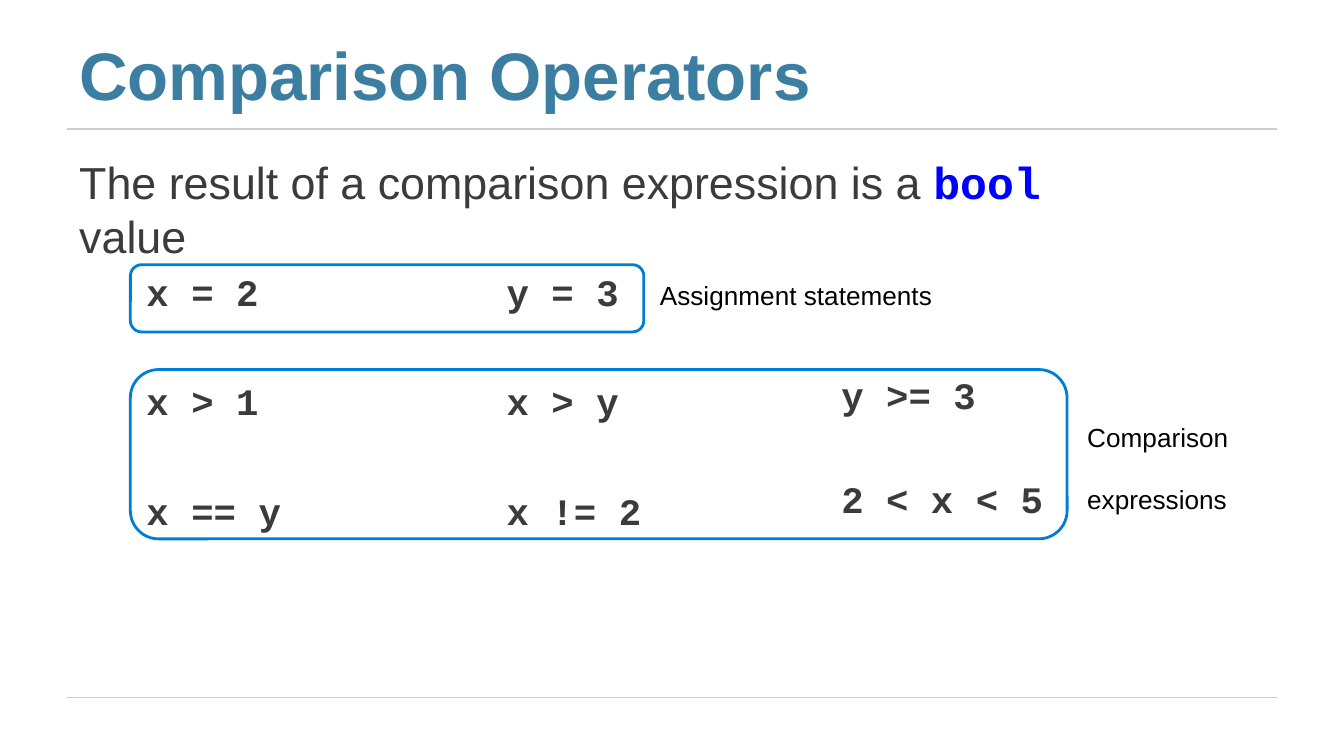
from dataclasses import dataclass

from lxml import etree
from pptx import Presentation
from pptx.dml.color import RGBColor
from pptx.enum import shapes, text
from pptx.oxml import ns
from pptx.util import Emu, Inches, Pt

CELL = Inches(0.1)


@dataclass(frozen=True)
class Theme:
    sans: str = "Arial"
    mono: str = "Courier New"
    heading: str = "3B7EA1"
    body: str = "3B3B3B"
    keyword: str = "0000FF"
    label: str = "000000"
    rule: str = "CCCCCC"
    frame: str = "007DD6"
    heading_size: float = 36
    body_size: float = 24
    code_size: float = 20
    label_size: float = 14


THEME = Theme()
STYLES = {
    "heading": dict(name=THEME.sans, size=THEME.heading_size, color=THEME.heading, bold=True),
    "body": dict(name=THEME.sans, size=THEME.body_size, color=THEME.body, bold=False),
    "keyword": dict(name=THEME.mono, size=THEME.body_size, color=THEME.keyword, bold=True),
    "code": dict(name=THEME.mono, size=THEME.code_size, color=THEME.body, bold=True),
    "label": dict(name=THEME.sans, size=THEME.label_size, color=THEME.label, bold=False),
}


def grid(*cells):
    return [Emu(round(cell * CELL)) for cell in cells]


def style_span(span, style):
    for key, value in STYLES[style].items():
        if key == "color":
            span.font.color.rgb = RGBColor.from_string(value)
        else:
            setattr(span.font, key, Pt(value) if key == "size" else value)


def add_text(page, box, lines, gap=0, leading=None, tab=None):
    frame = page.shapes.add_textbox(*grid(*box)).text_frame
    settings = dict(word_wrap=True, vertical_anchor=text.MSO_ANCHOR.TOP,
                    margin_left=Inches(0.01), margin_right=0,
                    margin_top=Inches(0.02), margin_bottom=0)
    for key, value in settings.items():
        setattr(frame, key, value)
    for index, spans in enumerate(lines):
        para = frame.add_paragraph() if index else frame.paragraphs[0]
        para.space_before = Pt(gap if index else 0)
        if leading:
            para.line_spacing = Pt(leading)
        if tab:
            tabs = etree.SubElement(para._p.get_or_add_pPr(), ns.qn("a:tabLst"))
            etree.SubElement(tabs, ns.qn("a:tab"), pos=str(grid(tab)[0]), algn="l")
        for words, style in spans:
            span = para.add_run()
            span.text = words
            style_span(span, style)


def add_rule(page, left, top, width):
    start_x, start_y, end_x = grid(left, top, left + width)
    rule = page.shapes.add_connector(shapes.MSO_CONNECTOR.STRAIGHT,
                                     start_x, start_y, end_x, start_y)
    rule.line.color.rgb = RGBColor.from_string(THEME.rule)
    rule.line.width = Pt(0.75)
    etree.SubElement(rule._element.spPr, ns.qn("a:effectLst"))


def add_frame(page, box):
    frame = page.shapes.add_shape(shapes.MSO_SHAPE.ROUNDED_RECTANGLE, *grid(*box))
    frame.shadow.inherit = False
    frame.fill.background()
    frame.line.color.rgb = RGBColor.from_string(THEME.frame)
    frame.line.width = Pt(1.5)


def add_header(page, left, top, width, height):
    add_text(page, (left, top, width, height), [[("Comparison Operators", "heading")]])


def add_statement(page, left, top, width, height):
    add_text(page, (left, top, width, height), [[
        ("The result of a comparison expression is a ", "body"),
        ("bool ", "keyword"), ("value", "body")]])


def add_examples(page, left, top, width, height):
    pairs = ["x = 2\ty = 3", "x > 1\tx > y", "x == y\tx != 2"]
    add_text(page, (left + 1.1, top + 0.1, 37.5, height - 1.4),
             [[(pair, "code")] for pair in pairs], gap=34.7, tab=26.8)
    for row, code in enumerate(["y >= 3", "2 < x < 5"]):
        add_text(page, (left + 52.8, top + 7.8 + row * 7.7, 16, 3.6), [[(code, "code")]])
    add_frame(page, (left, top, 38.2, 5))
    add_frame(page, (left, top + 7.8, 69.7, height - 7.8))
    add_text(page, (left + 39.3, top + 0.9, 20.5, 2.6), [[("Assignment statements", "label")]])
    add_text(page, (left + 71.1, top + 11.5, width - 71.1, 7.2),
             [[("Comparison", "label")], [("expressions", "label")]], gap=16.5, leading=16.5)


def main():
    deck = Presentation()
    deck.slide_width, deck.slide_height = grid(100, 56.25)
    page = deck.slides.add_slide(deck.slide_layouts[6])
    for top in (9.6, 51.9):
        add_rule(page, 5, top, 90)
    add_header(page, 5.8, 2.3, 60, 6.3)
    add_statement(page, 5.8, 11.3, 80.7, 8)
    add_examples(page, 9.7, 19.7, 82.5, 20.4)
    deck.save("out.pptx")


if __name__ == "__main__":
    main()
